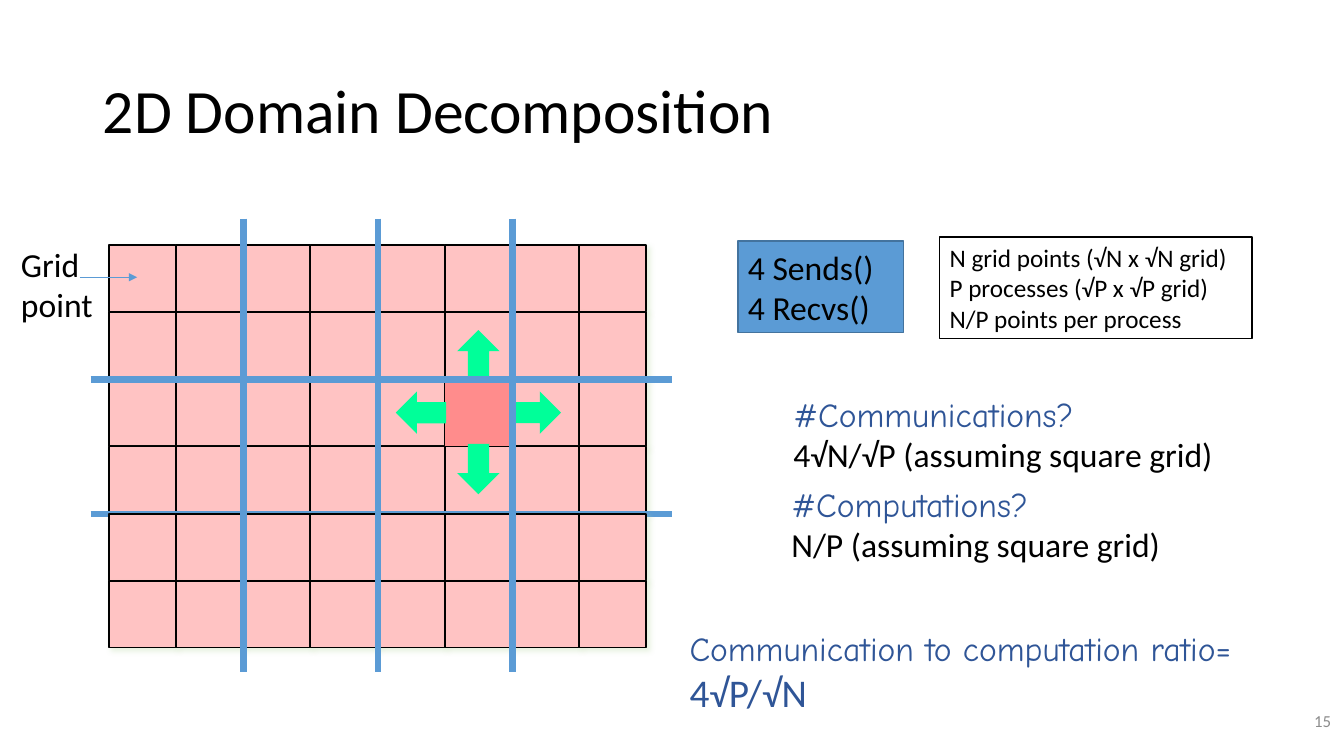
import pptx
import pptx.util
import pptx.oxml
import pptx.dml.color
import pptx.enum.shapes
import pptx.enum.text
import pptx.oxml.ns

SHAPE = pptx.enum.shapes.MSO_SHAPE
ALIGN = pptx.enum.text.PP_ALIGN
ANCHOR = pptx.enum.text.MSO_ANCHOR
FIT = pptx.enum.text.MSO_AUTO_SIZE
NS = pptx.oxml.ns.nsdecls("a")

WIDE, HIGH = 13.33, 7.5
BODY, HAND = "Calibri", "Comic Neue"
BLACK, WHITE, BLUE, NAVY = "000000", "FFFFFF", "5B9BD5", "2F5597"
PINK, RED, GREEN, GREY = "FFC3C3", "FF8C8C", "00FF99", "8C8C8C"

TITLE = "2D Domain Decomposition"

# Domain grid: columns, rows, left, top, pitch, cell side
COLS, ROWS, LEFT, TOP, STEP, SIDE = 8, 6, 1.08, 2.43, 0.667, 0.66
COL_CUTS, ROW_CUTS = (2, 4, 6), (2, 4)
ACTIVE = (5, 2)
ARROW = (0.5, 0.42)
# rotation, horizontal and vertical shift from the centre of the active cell
MOVES = [(0, 0.57, 0), (180, -0.57, 0), (90, 0, 0.56), (270, 0, -0.57)]

# Line: text, size, font, colour
LABEL = [("Grid point", 24, BODY, BLACK)]
CALLS = [(t, 24, BODY, BLACK) for t in ("4 Sends()", "4 Recvs()")]
SIZES = [(t, 18, BODY, BLACK) for t in (
    "N grid points (√N x √N grid)",
    "P processes (√P x √P grid)",
    "N/P points per process")]
ANSWERS = [
    ((7.77, 3.86, 4.4, 0.91),
     [("#Communications?", 24, HAND, NAVY),
      ("4√N/√P (assuming square grid)", 24, BODY, BLACK)]),
    ((7.75, 4.75, 3.89, 0.91),
     [("#Computations?", 24, HAND, NAVY),
      ("N/P (assuming square grid)", 24, BODY, BLACK)]),
    ((6.74, 6.18, 5.98, 0.98),
     [("Communication to computation ratio=", 24, HAND, NAVY),
      ("4√P/√N", 28, BODY, NAVY)]),
]
NUMBER = [("15", 12, BODY, GREY)]


def inch(*nums):
    return [pptx.util.Inches(n) for n in nums]


def paint(color, code):
    color.rgb = pptx.dml.color.RGBColor.from_string(code)


def write(shape, lines, align=ALIGN.LEFT, wrap=True):
    frame = shape.text_frame
    frame.text = "\n".join(line[0] for line in lines)
    frame.word_wrap = wrap
    for para, (_, size, face, code) in zip(frame.paragraphs, lines):
        para.alignment = align
        for run in para.runs:
            run.font.size = pptx.util.Pt(size)
            run.font.name = face
            paint(run.font.color, code)
    return frame


def note(box, lines, **look):
    frame = write(slide.shapes.add_textbox(*inch(*box)), lines, **look)
    frame.auto_size = FIT.SHAPE_TO_FIT_TEXT


def block(box, fill, edge=None, kind=SHAPE.RECTANGLE):
    shape = slide.shapes.add_shape(kind, *inch(*box))
    shape.shadow.inherit = False
    shape.fill.solid()
    paint(shape.fill.fore_color, fill)
    if edge:
        paint(shape.line.color, edge)
        shape.line.width = pptx.util.Pt(1)
    else:
        shape.line.fill.background()
    return shape


def rule(ends, width):
    line = slide.shapes.add_connector(
        pptx.enum.shapes.MSO_CONNECTOR.STRAIGHT, *inch(*ends))
    paint(line.line.color, BLUE)
    line.line.width = pptx.util.Pt(width)
    line._element.spPr.append(pptx.oxml.parse_xml(f"<a:effectLst {NS}/>"))
    return line


def spot(col, row):
    return LEFT + col * STEP, TOP + row * STEP


def cells(rows):
    for row in rows:
        for col in range(COLS):
            cell = block((*spot(col, row), SIDE, SIDE), PINK, BLACK)
            effects = cell._element.spPr.find(pptx.oxml.ns.qn("a:effectLst"))
            effects.append(pptx.oxml.parse_xml(
                f'<a:outerShdw {NS} blurRad="50800" dist="38100" dir="2700000"'
                ' algn="tl" rotWithShape="0"><a:srgbClr val="C5E0B4">'
                '<a:alpha val="40000"/></a:srgbClr></a:outerShdw>'))


deck = pptx.Presentation()
deck.slide_width, deck.slide_height = inch(WIDE, HIGH)
slide = deck.slides.add_slide(deck.slide_layouts[5])

title = slide.shapes.title
title.left, title.top, title.width, title.height = inch(0.92, 0.4, 11.5, 1.45)
frame = write(title, [(TITLE, 44, BODY, BLACK)])
frame.vertical_anchor = ANCHOR.MIDDLE
frame.paragraphs[0].line_spacing = 0.9

# The lower rows lie over the row cuts
cells(range(ROW_CUTS[-1]))
x, y = spot(*ACTIVE)
block((x, y, SIDE, SIDE), RED)
for turn, dx, dy in MOVES:
    wide, high = ARROW
    box = (x + (SIDE - wide) / 2 + dx, y + (SIDE - high) / 2 + dy, wide, high)
    block(box, GREEN, kind=SHAPE.RIGHT_ARROW).rotation = turn
for row in ROW_CUTS:
    y = spot(0, row)[1]
    rule((0.9, y, 6.67, y), 4.5)
cells(range(ROW_CUTS[-1], ROWS))
for col in COL_CUTS:
    x = spot(col, 0)[0]
    rule((x, 2.17, x, 6.67), 4.5)

pointer = rule((0.79, 2.75, 1.36, 2.75), 0.5)
pointer.line._get_or_add_ln().append(
    pptx.oxml.parse_xml(f'<a:tailEnd {NS} type="triangle"/>'))
note((0.11, 2.37, 1.21, 0.91), LABEL)

write(block((7.32, 2.39, 1.64, 0.91), BLUE, "43739E"), CALLS)
write(block((9.32, 2.35, 3.1, 1.01), WHITE, BLACK), SIZES)
for box, lines in ANSWERS:
    note(box, lines, wrap=False)

page = slide.shapes.add_textbox(*inch(10.3, 6.95, 3, 0.4))
write(page, NUMBER, ALIGN.RIGHT).vertical_anchor = ANCHOR.MIDDLE

deck.save("out.pptx")
